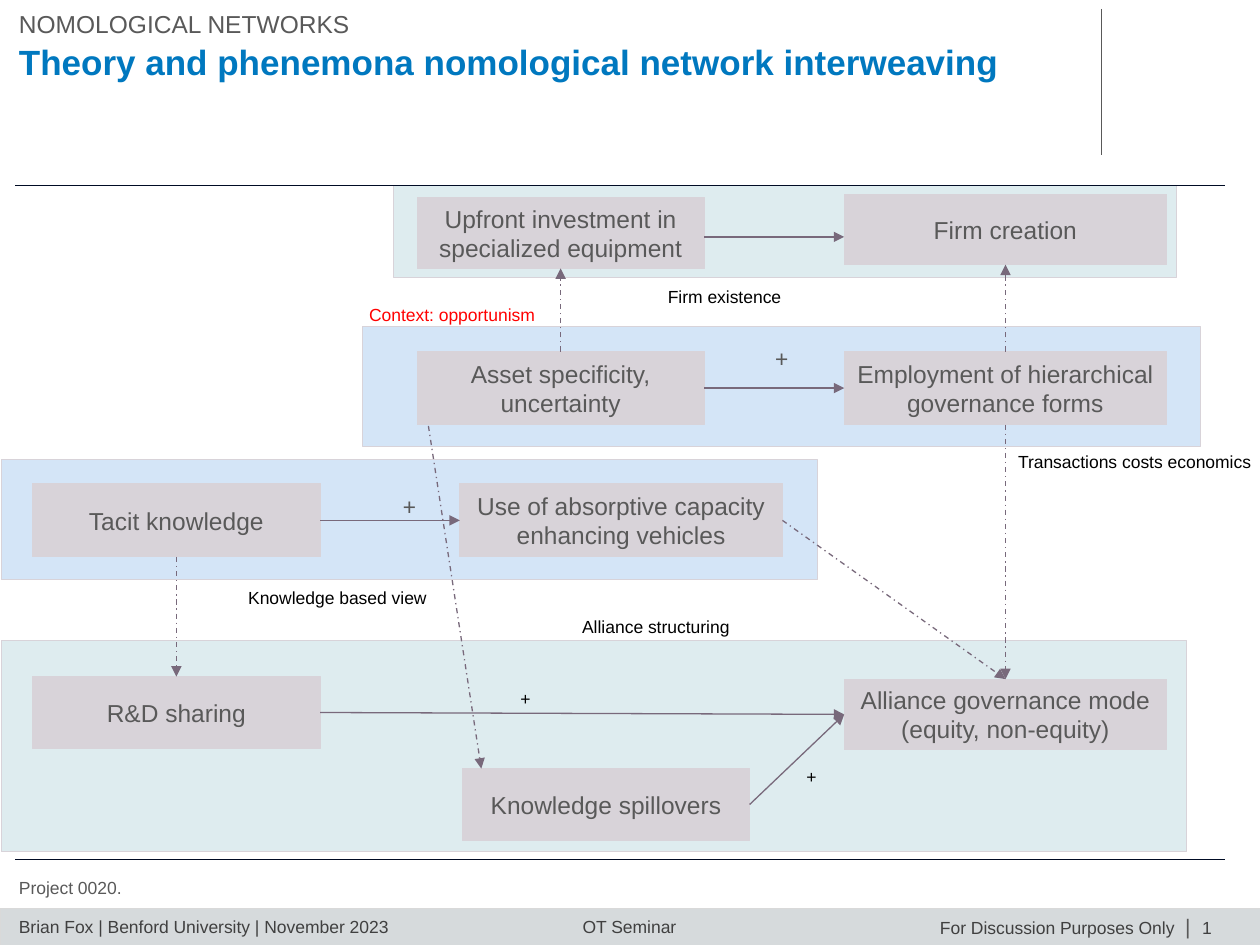
"""Build a slide on interwoven theory and phenomena nomological networks."""
from lxml import etree
from pptx import Presentation
from pptx import util as u
from pptx.dml import color
from pptx.enum import dml, shapes, text
from pptx.oxml import ns

COLORS = {
    "title": "0078BF", "body": "595959", "footer": "404040", "label": "000000",
    "context": "FF0000", "bar": "D6DADC", "bar_edge": "D9D9D9", "rule": "000B24",
    "phenomenon": "DEECEF", "theory": "D4E5F7", "node": "D8D3D9", "link": "78697B",
}
ALIGN = text.PP_ALIGN
ANCHOR = text.MSO_ANCHOR
TOP, LEFT, BOTTOM, RIGHT = range(4)


def write(frame, words, size=10, tint="body", font="Arial", bold=False, align=ALIGN.LEFT,
          anchor=ANCHOR.TOP, wrap=True, insets=(0, 0, 0, 0)):
    frame.auto_size = text.MSO_AUTO_SIZE.NONE
    frame.word_wrap = wrap
    frame.vertical_anchor = anchor
    frame.margin_left, frame.margin_top, frame.margin_right, frame.margin_bottom = map(
        u.Inches, insets)
    frame.text = words
    for para in frame.paragraphs:
        para.alignment = align
        para.space_before = u.Pt(0)
        for span in para.runs:
            span.font.name = font
            span.font.size = u.Pt(size)
            span.font.bold = bold
            span.font.color.rgb = color.RGBColor.from_string(COLORS[tint])


class Slide:
    def __init__(self, page):
        self.page = page

    def placeholder(self, index, place, words, **style):
        box = self.page.placeholders[index]
        box.left, box.top, box.width, box.height = map(u.Inches, place)
        write(box.text_frame, words, **style)
        for para in box.text_frame.paragraphs:
            props = para._p.get_or_add_pPr()
            props.set("marL", "0")
            props.set("indent", "0")
            etree.SubElement(props, ns.qn("a:buNone"))

    def label(self, place, words, **style):
        box = self.page.shapes.add_textbox(*map(u.Inches, place))
        write(box.text_frame, words, **{"tint": "label", "wrap": False, **style})

    def block(self, place, fill, edge="node", width=0.5):
        box = self.page.shapes.add_shape(shapes.MSO_SHAPE.RECTANGLE, *map(u.Inches, place))
        box.shadow.inherit = False
        box.fill.solid()
        box.fill.fore_color.rgb = color.RGBColor.from_string(COLORS[fill])
        box.line.color.rgb = color.RGBColor.from_string(COLORS[edge])
        box.line.width = u.Pt(width)
        return box

    def region(self, place, fill, sign="", lift=0):
        box = self.block(place, fill)
        if sign:
            write(box.text_frame, sign, size=14, font="Calibri", align=ALIGN.CENTER,
                  anchor=ANCHOR.MIDDLE, insets=(0.04, 0, 0.04, lift))

    def node(self, place, words):
        box = self.block(place, "node")
        write(box.text_frame, words, size=14, align=ALIGN.CENTER, anchor=ANCHOR.MIDDLE,
              insets=(0.04, 0, 0.04, 0))
        return box

    def line(self, start=(0, 0), end=(0, 0), tint="link", arrow=False, dashed=False):
        link = self.page.shapes.add_connector(
            shapes.MSO_CONNECTOR.STRAIGHT, *map(u.Inches, (*start, *end)))
        link.line.color.rgb = color.RGBColor.from_string(COLORS[tint])
        link.line.width = u.Pt(0.75)
        if dashed:
            link.line.dash_style = dml.MSO_LINE.DASH_DOT
        if arrow:
            etree.SubElement(link.line._get_or_add_ln(), ns.qn("a:tailEnd"), type="triangle")
        etree.SubElement(link._element.spPr, ns.qn("a:effectLst"))
        return link

    def link(self, source, source_side, target, target_side, dashed=False):
        link = self.line(arrow=True, dashed=dashed)
        link.begin_connect(source, source_side)
        link.end_connect(target, target_side)


def add_frame(slide):
    slide.block((0, 7.21, 10, 0.29), "bar", "bar_edge", 0.25)
    slide.label((0.15, 7.27, 2.94, 0.17), "Brian Fox | Benford University | November 2023",
                tint="footer")
    slide.label((4.62, 7.27, 0.75, 0.17), "OT Seminar", tint="footer", align=ALIGN.CENTER)
    slide.label((7.45, 7.28, 1.88, 0.17), "For Discussion Purposes Only", tint="footer",
                align=ALIGN.CENTER)
    slide.label((9.41, 7.25, 0.04, 0.2), "|", size=12, tint="body", align=ALIGN.RIGHT,
                anchor=ANCHOR.MIDDLE)
    slide.label((9.54, 7.28, 0.08, 0.17), "1", tint="footer", anchor=ANCHOR.MIDDLE)
    slide.line((8.74, 0.07), (8.74, 1.23), "body")
    slide.placeholder(0, (0.15, 0.32, 8.47, 0.34),
                      "Theory and phenemona nomological network interweaving",
                      size=20, tint="title", bold=True)
    slide.placeholder(1, (0.15, 0.07, 8.47, 0.24), "NOMOLOGICAL NETWORKS", size=14,
                      anchor=ANCHOR.MIDDLE)
    slide.placeholder(2, (0.15, 6.96, 7.92, 0.17), "Project 0020.")


def add_network(slide):
    slide.region((3.12, 1.47, 6.22, 0.73), "phenomenon")
    slide.region((0.01, 5.08, 9.41, 1.68), "phenomenon")
    slide.region((2.88, 2.59, 6.65, 0.95), "theory", "+", 0.45)
    slide.region((0.01, 3.65, 6.48, 0.95), "theory", "+", 0.22)
    for height in (1.47, 6.82):
        slide.line((0.12, height), (9.72, height), "rule")

    cause, effect = 2.28, 2.56
    investment = slide.node((3.31, 1.57, cause, 0.56),
                            "Upfront investment in specialized equipment")
    creation = slide.node((6.7, 1.54, effect, 0.56), "Firm creation")
    asset = slide.node((3.31, 2.79, cause, 0.58), "Asset specificity, uncertainty")
    hierarchy = slide.node((6.7, 2.79, effect, 0.58),
                           "Employment of hierarchical governance forms")
    tacit = slide.node((0.26, 3.84, cause, 0.58), "Tacit knowledge")
    capacity = slide.node((3.65, 3.84, effect, 0.58),
                          "Use of absorptive capacity enhancing vehicles")
    sharing = slide.node((0.26, 5.37, cause, 0.57), "R&D sharing")
    governance = slide.node((6.7, 5.39, effect, 0.56),
                            "Alliance governance mode\n(equity, non-equity)")
    spillovers = slide.node((3.67, 6.1, cause, 0.57), "Knowledge spillovers")

    slide.line((5.59, 1.88), (6.7, 1.88), arrow=True)
    for source, target in ((asset, hierarchy), (tacit, capacity), (sharing, governance),
                           (spillovers, governance)):
        slide.link(source, RIGHT, target, LEFT)
    for source, side, target, target_side in (
            (asset, TOP, investment, BOTTOM), (hierarchy, TOP, creation, BOTTOM),
            (hierarchy, BOTTOM, governance, TOP), (capacity, RIGHT, governance, TOP),
            (tacit, BOTTOM, sharing, TOP)):
        slide.link(source, side, target, target_side, dashed=True)
    slide.line((3.4, 3.38), (3.82, 6.1), arrow=True, dashed=True)

    for left, top, width, words in (
            (5.3, 2.27, 0.91, "Firm existence"),
            (8.08, 3.58, 1.87, "Transactions costs economics"),
            (1.97, 4.66, 1.43, "Knowledge based view"),
            (4.62, 4.89, 1.18, "Alliance structuring"),
            (4.13, 5.46, 0.08, "+"), (6.4, 6.08, 0.08, "+")):
        slide.label((left, top, width, 0.17), words)
    slide.label((2.93, 2.41, 1.33, 0.17), "Context: opportunism", tint="context")


def main():
    deck = Presentation()
    deck.slide_width, deck.slide_height = u.Inches(10), u.Inches(7.5)
    slide = Slide(deck.slides.add_slide(deck.slide_layouts[3]))
    add_frame(slide)
    add_network(slide)
    deck.save("out.pptx")


if __name__ == "__main__":
    main()
